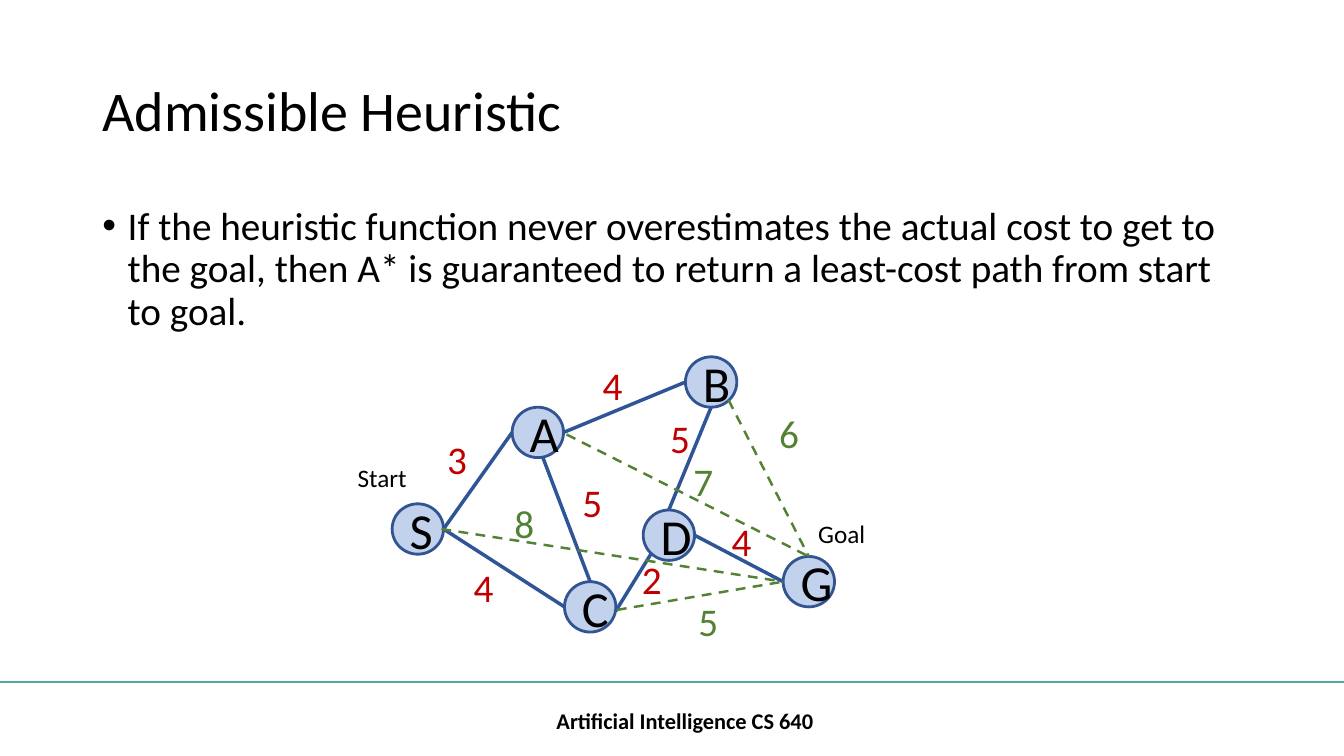
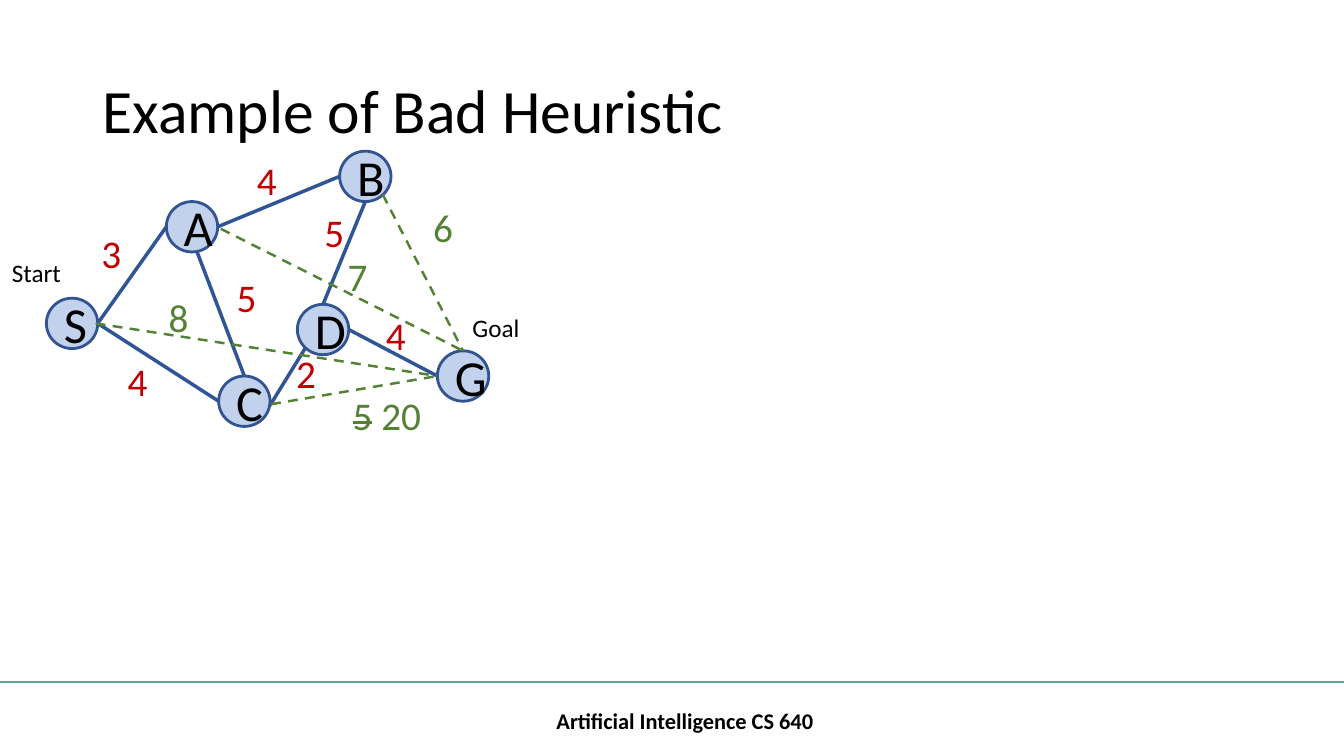
from pptx import Presentation
from pptx.dml.color import RGBColor
from pptx.enum import dml, shapes, text
from pptx.oxml import ns
from pptx.util import Pt
from lxml import etree

# Colours and font
BLACK = RGBColor(0, 0, 0)
TEAL = RGBColor(0x54, 0xA8, 0x9D)
FILL = RGBColor(0x44, 0x72, 0xC4)
RING = RGBColor(0x32, 0x54, 0x91)
BLUE = RGBColor(0x2F, 0x55, 0x97)
RED = RGBColor(0xC0, 0, 0)
GREEN = RGBColor(0x54, 0x82, 0x35)
FONT = "Calibri"

# Graph, in points from its own top left corner
NODE_W, NODE_H = 36.7, 36
NODES = {"A": (117.4, 36), "B": (241.2, 0), "S": (31.7, 105),
         "C": (154.8, 160.6), "G": (311, 142.6), "D": (211, 109.4)}

# Anchors on a node, as shares of its width and height
TOP, LEFT, BOTTOM, RIGHT = (0.5, 0), (0, 0.5), (0.5, 1), (1, 0.5)
EDGES = [("A", RIGHT, "B", LEFT), ("S", RIGHT, "A", LEFT),
         ("S", RIGHT, "C", LEFT), ("A", (0.6, 1), "C", TOP),
         ("C", (1, 0.58), "D", (0.16, 0.86)), ("D", TOP, "B", BOTTOM),
         ("D", RIGHT, "G", LEFT)]
GUESSES = [("B", (0.84, 0.86), "G", TOP), ("C", (1.02, 0.56), "G", LEFT),
           ("A", (1.06, 0.54), "G", TOP), ("S", (0.96, 0.5), "G", LEFT)]
COSTS = [("4", 175, 0), ("4", 82.8, 144), ("3", 64, 52.6),
         ("5", 160.6, 83.5), ("2", 203, 138.2), ("5", 223.2, 37.4),
         ("4", 267.1, 110.9)]
VALUES = [("6", 301, 33.8), ("8", 112, 97.9), ("7", 239.8, 68.4)]
ENDS = [("Start", 0, 72), ("Goal", 329, 111.6)]


def write(frame, words, size=28, color=BLACK, bold=False, align=None,
          strike=False):
    """Add a run to the first paragraph of a text frame."""
    para = frame.paragraphs[0]
    if align is not None:
        para.alignment = align
    run = para.add_run()
    run.text = words
    font = run.font
    font.name, font.size, font.bold = FONT, Pt(size), bold
    font.color.rgb = color
    if strike:
        run._r.get_or_add_rPr().set("strike", "sngStrike")
    return para


def place(shape, x, y, w, h):
    shape.left, shape.top, shape.width, shape.height = map(Pt, (x, y, w, h))


def line(group, start, end, color, width, dash=None):
    link = group.add_connector(shapes.MSO_CONNECTOR.STRAIGHT,
                               *map(Pt, (*start, *end)))
    link.line.color.rgb = color
    link.line.width = Pt(width)
    if dash:
        link.line.dash_style = dash
    etree.SubElement(link.element.spPr, ns.qn("a:effectLst"))
    return link


def label(group, words, x, y, w=28.8, h=41, **style):
    frame = group.add_textbox(*map(Pt, (x, y, w, h))).text_frame
    frame.word_wrap = False
    write(frame, words, **style)
    return frame


def node(group, name, x, y):
    oval = group.add_shape(shapes.MSO_SHAPE.OVAL,
                           *map(Pt, (x, y, NODE_W, NODE_H)))
    oval.shadow.inherit = False
    oval.fill.solid()
    oval.fill.fore_color.rgb = FILL
    tint = oval.element.spPr.find(ns.qn("a:solidFill"))[0]
    etree.SubElement(tint, ns.qn("a:alpha"), val="32000")
    oval.line.color.rgb = RING
    oval.line.width = Pt(2)
    oval.text_frame.vertical_anchor = text.MSO_ANCHOR.MIDDLE
    write(oval.text_frame, name, size=36, align=text.PP_ALIGN.CENTER)


def graph(slide, x, y, fix=None):
    """Draw the graph; fix replaces the heuristic value of C."""
    group = slide.shapes.add_group_shape().shapes

    def spot(name, share):
        left, top = NODES[name]
        return x + left + share[0] * NODE_W, y + top + share[1] * NODE_H

    def links(rows, *style):
        for a, out, b, into in rows:
            line(group, spot(a, out), spot(b, into), *style)

    def labels(rows, **style):
        for words, dx, dy in rows:
            label(group, words, x + dx, y + dy, **style)

    # Nodes and real costs
    for name, (dx, dy) in NODES.items():
        node(group, name, x + dx, y + dy)
    links(EDGES, BLUE, 2.5)
    labels(COSTS, color=RED)
    labels(ENDS, w=56, h=28.8, size=18)

    # Heuristic values
    links(GUESSES, GREEN, 1.75, dml.MSO_LINE.DASH)
    labels(VALUES, color=GREEN)
    frame = label(group, "5", x + 243.4, y + 168.3, w=68 if fix else 28.8,
                  color=GREEN, strike=bool(fix))
    if fix:
        write(frame, f" {fix}", color=GREEN)


def page(deck, layout, title, size):
    """Add a slide with its title and footer."""
    slide = deck.slides.add_slide(deck.slide_layouts[layout])
    head = slide.shapes.title
    place(head, 66, 28.8, 828, 104.4)
    head.text_frame.auto_size = text.MSO_AUTO_SIZE.NONE
    head.text_frame.vertical_anchor = text.MSO_ANCHOR.MIDDLE
    para = write(head.text_frame, title, size=size, align=text.PP_ALIGN.LEFT)
    para.line_spacing = 0.9
    foot = label(slide.shapes, "Artificial Intelligence CS 640",
                 287.3, 500.4, 404, 28.8, size=16, bold=True,
                 align=text.PP_ALIGN.CENTER)
    foot.word_wrap = True
    foot.vertical_anchor = text.MSO_ANCHOR.MIDDLE
    return slide


def bullet(slide, words):
    body = slide.placeholders[1]
    place(body, 66, 144, 828, 342.7)
    body.text_frame.auto_size = text.MSO_AUTO_SIZE.NONE
    para = write(body.text_frame, words)
    para.line_spacing = 0.9
    para.space_before = Pt(10)
    props = para._p.get_or_add_pPr()
    props.set("marL", str(Pt(18)))
    props.set("indent", str(-Pt(18)))
    etree.SubElement(props, ns.qn("a:buFont"), typeface="Arial")
    etree.SubElement(props, ns.qn("a:buChar"), char="•")


def main():
    deck = Presentation()
    deck.slide_width, deck.slide_height = Pt(960), Pt(540)

    # Admissible heuristic
    first = page(deck, 1, "Admissible Heuristic", 40)
    bullet(first, "If the heuristic function never overestimates the actual "
                  "cost to get to the goal, then A* is guaranteed to return "
                  "a least-cost path from start to goal.")
    graph(first, 248.4, 254.9)

    # Bad heuristic
    second = page(deck, 5, "Example of Bad Heuristic", 44)
    graph(second, 1.4, 108, fix="20")

    # Footer rule, moved to the master that both slides share
    rule = line(first.shapes, (0, 487), (960, 487), TEAL, 1.5)
    deck.slide_master.element.cSld.spTree.append(rule.element)

    deck.save("out.pptx")


if __name__ == "__main__":
    main()
